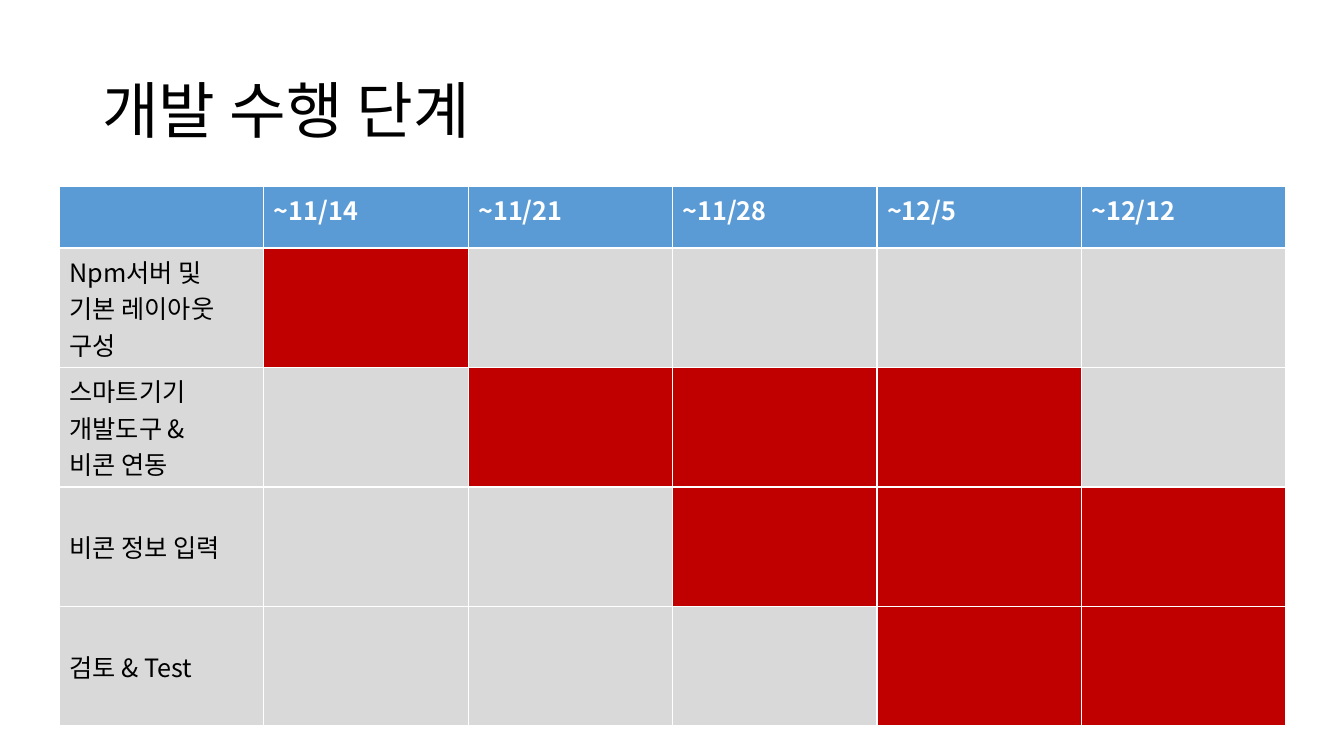
from dataclasses import dataclass

from lxml.etree import SubElement
from pptx import Presentation
from pptx.dml.color import RGBColor
from pptx.enum.text import MSO_ANCHOR as Anchor
from pptx.oxml.ns import qn
from pptx.util import Cm, Pt


@dataclass(frozen=True)
class Theme:
    font: str = "Noto Sans CJK KR"
    title_size: int = 44
    table_size: int = 18
    text: str = "000000"
    header_text: str = "FFFFFF"
    header: str = "5B9BD5"
    idle: str = "D9D9D9"
    active: str = "C00000"


theme = Theme()


def style_text(frame, size, color, bold=False):
    """Format every run, naming the font for Latin and Korean letters alike."""
    for para in frame.paragraphs:
        for span in para.runs:
            span.font.name = theme.font
            span.font.size = Pt(size)
            span.font.bold = bold
            span.font.color.rgb = RGBColor.from_string(color)
            SubElement(span.font._element, qn("a:ea"), typeface=theme.font)


def fill_cell(cell, color):
    cell.fill.solid()
    cell.fill.fore_color.rgb = RGBColor.from_string(color)


deck = Presentation()
deck.slide_width = Cm(33.87)
deck.slide_height = Cm(19.05)
page = deck.slides.add_slide(deck.slide_layouts[6])

# Title
title = page.shapes.add_textbox(Cm(2.33), Cm(1.01), Cm(29.21), Cm(3.68)).text_frame
title.word_wrap = True
title.vertical_anchor = Anchor.MIDDLE
title.text = "개발 수행 단계"
title.paragraphs[0].line_spacing = 0.9
style_text(title, theme.title_size, theme.text)

# Schedule: each task with its first and last active week
weeks = ["~11/14", "~11/21", "~11/28", "~12/5", "~12/12"]
tasks = [
    ("Npm서버 및\n기본 레이아웃 구성", 1, 1),
    ("스마트기기\n개발도구 &\n비콘 연동", 2, 4),
    ("비콘 정보 입력", 3, 5),
    ("검토 & Test", 4, 5),
]
column_width, header_height, task_height = Cm(5.15), Cm(1.55), Cm(3.01)
column_count, row_count = len(weeks) + 1, len(tasks) + 1

schedule = page.shapes.add_table(
    row_count, column_count, Cm(1.5), Cm(4.7),
    column_width * column_count, header_height + task_height * len(tasks),
).table
for column in schedule.columns:
    column.width = column_width
for row in schedule.rows:
    row.height = task_height
schedule.rows[0].height = header_height

for index, week in enumerate(["", *weeks]):
    cell = schedule.cell(0, index)
    cell.text_frame.text = week
    fill_cell(cell, theme.header)
    style_text(cell.text_frame, theme.table_size, theme.header_text, bold=True)

for row_index, (task, first, last) in enumerate(tasks, start=1):
    label = schedule.cell(row_index, 0)
    label.text_frame.text = task
    label.vertical_anchor = Anchor.MIDDLE
    fill_cell(label, theme.idle)
    style_text(label.text_frame, theme.table_size, theme.text)
    for week_index in range(1, column_count):
        color = theme.active if first <= week_index <= last else theme.idle
        fill_cell(schedule.cell(row_index, week_index), color)

deck.save("out.pptx")
